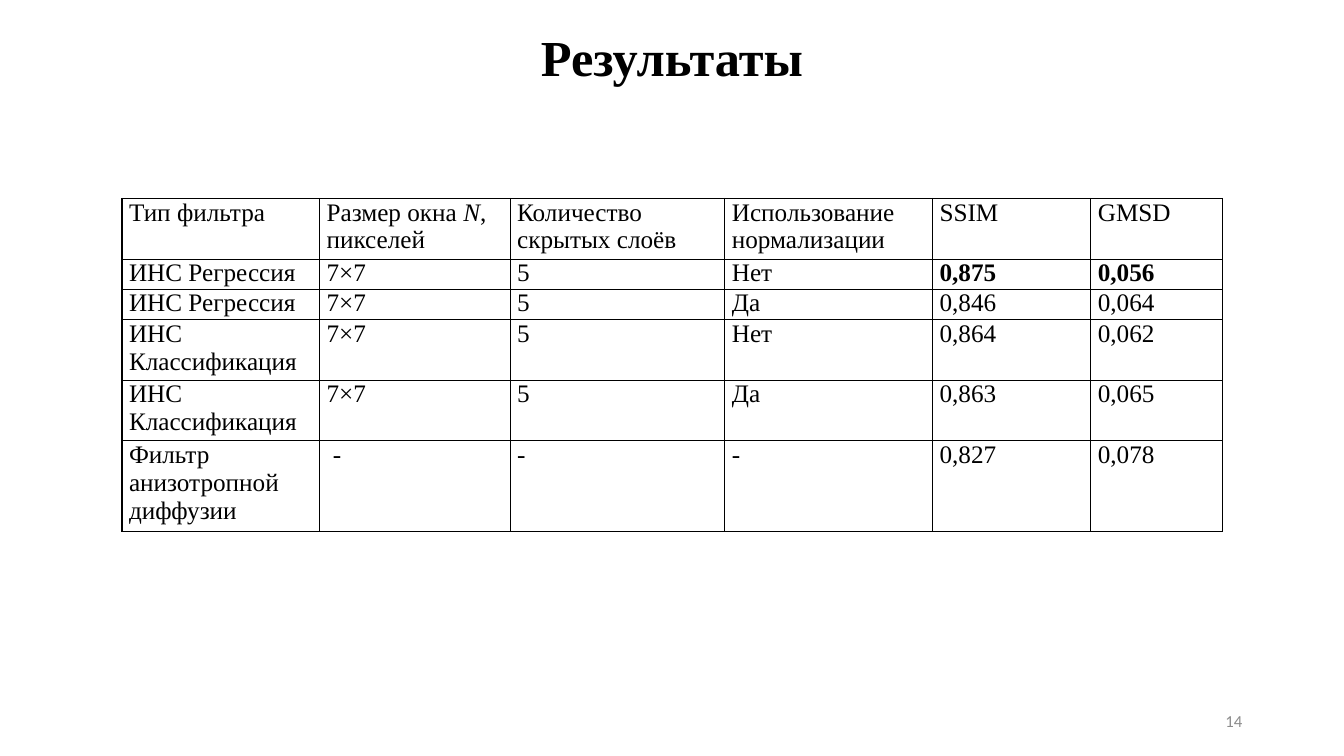
from lxml.etree import SubElement
from pptx import Presentation
from pptx.dml.color import RGBColor
from pptx.enum.text import MSO_ANCHOR, PP_ALIGN
from pptx.oxml.ns import qn
from pptx.util import Inches, Pt

COLORS = {"ink": "000000", "muted": "8C8C8C"}
SERIF = "Times New Roman"
COLS = [1.96, 1.89, 2.13, 2.06, 1.57, 1.31]
LINES = [2, 1, 1, 2, 2, 3]
LINE = 0.27
HEAD = ["Тип фильтра", "Размер окна *N*, пикселей", "Количество скрытых слоёв",
        "Использование нормализации", "SSIM", "GMSD"]
ROWS = [
    ["ИНС Регрессия", "7×7", "5", "Нет", "0,875", "0,056"],
    ["ИНС Регрессия", "7×7", "5", "Да", "0,846", "0,064"],
    ["ИНС Классификация", "7×7", "5", "Нет", "0,864", "0,062"],
    ["ИНС Классификация", "7×7", "5", "Да", "0,863", "0,065"],
    ["Фильтр анизотропной диффузии", " -", "-", "-", "0,827", "0,078"],
]
BEST = {(1, 4), (1, 5)}


def style(para, size, face, color, bold=False):
    font = para.font
    font.size, font.name, font.bold = Pt(size), face, bold
    font.color.rgb = RGBColor.from_string(COLORS[color])


def add_label(slide, box, text, align, *look):
    frame = slide.shapes.add_textbox(*map(Inches, box)).text_frame
    frame.word_wrap = True
    frame.vertical_anchor = MSO_ANCHOR.MIDDLE
    para = frame.paragraphs[0]
    para.text, para.alignment = text, align
    style(para, *look)
    return para


def add_border(cell):
    props = cell._tc.get_or_add_tcPr()
    for at, side in enumerate(("lnL", "lnR", "lnT", "lnB")):
        line = props.makeelement(qn(f"a:{side}"), {"w": str(Pt(1))})
        fill = SubElement(line, qn("a:solidFill"))
        SubElement(fill, qn("a:srgbClr"), val=COLORS["ink"])
        props.insert(at, line)


def fill_cell(cell, text, bold):
    cell.fill.background()
    cell.margin_left = cell.margin_right = Inches(0.07)
    cell.margin_top = cell.margin_bottom = 0
    add_border(cell)
    para = cell.text_frame.paragraphs[0]
    # Parts between asterisks are italic
    for at, part in enumerate(text.split("*")):
        run = para.add_run()
        run.text = part
        if at % 2:
            run.font.italic = True
    style(para, 18, SERIF, "ink", bold)


def add_results(slide, left, top):
    data = [HEAD] + ROWS
    size = (left, top, sum(COLS), LINE * sum(LINES))
    table = slide.shapes.add_table(len(data), len(COLS), *map(Inches, size)).table
    table.first_row = table.horz_banding = False
    for col, width in zip(table.columns, COLS):
        col.width = Inches(width)
    for row, count in zip(table.rows, LINES):
        row.height = Inches(LINE * count)
    for r, texts in enumerate(data):
        for c, text in enumerate(texts):
            fill_cell(table.cell(r, c), text, (r, c) in BEST)


def main():
    deck = Presentation()
    deck.slide_width, deck.slide_height = Inches(13.33), Inches(7.5)
    slide = deck.slides.add_slide(deck.slide_layouts[6])
    # Page number
    add_label(slide, (9.42, 6.95, 3, 0.4), "14", PP_ALIGN.RIGHT, 12, "Calibri", "muted")
    # Table of results
    add_results(slide, 1.21, 1.97)
    # Title
    title = add_label(slide, (1.16, 0.11, 11.01, 0.97), "Результаты",
                      PP_ALIGN.CENTER, 36, SERIF, "ink", True)
    title.line_spacing = 0.9
    deck.save("out.pptx")


if __name__ == "__main__":
    main()
